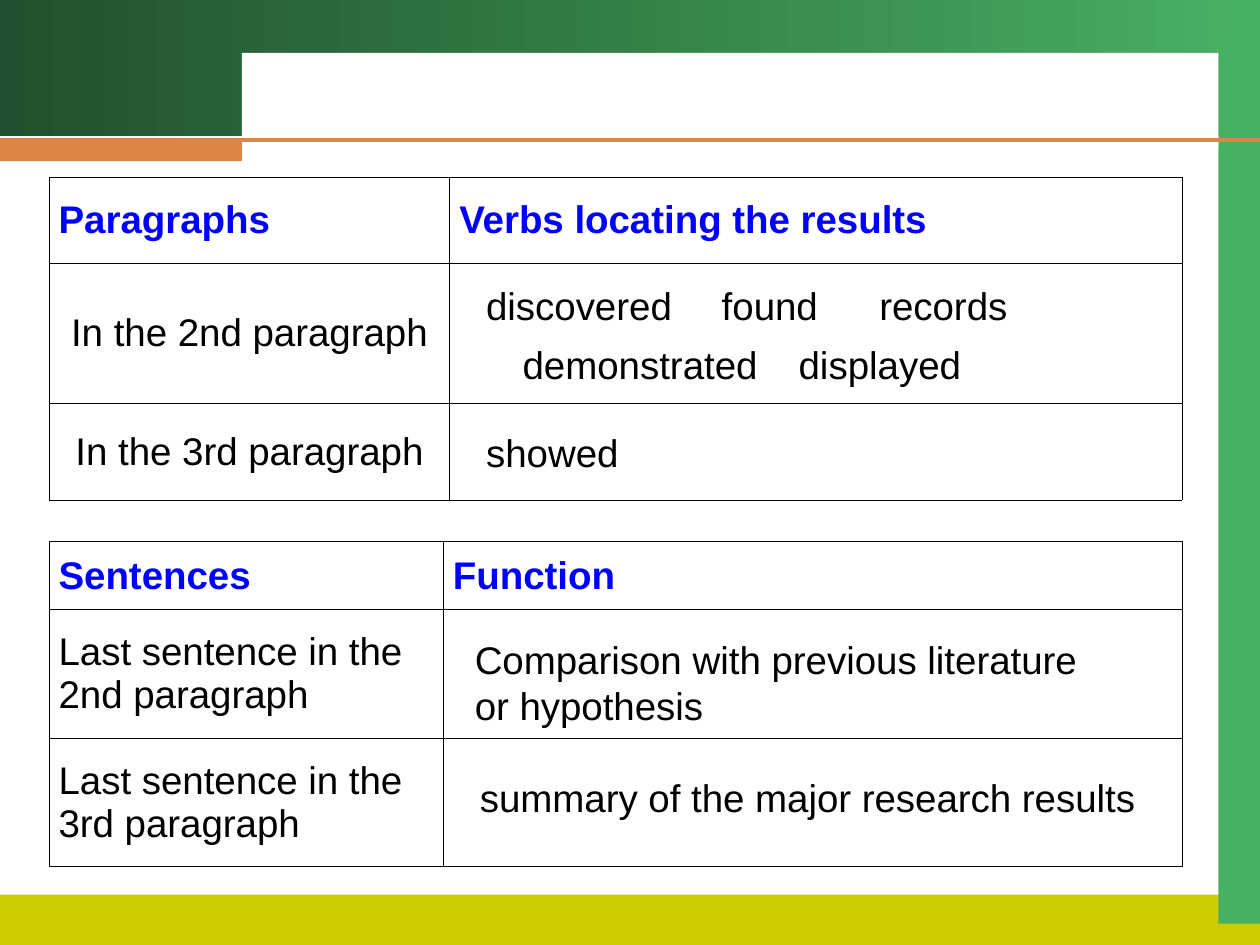
from dataclasses import dataclass

from lxml import etree
from pptx import Presentation
from pptx.dml.color import RGBColor
from pptx.enum.shapes import MSO_CONNECTOR, MSO_SHAPE
from pptx.enum.text import MSO_ANCHOR, MSO_AUTO_SIZE, PP_ALIGN
from pptx.oxml.ns import qn
from pptx.util import Inches, Pt

RECT = MSO_SHAPE.RECTANGLE
LINE = MSO_CONNECTOR.STRAIGHT
MIDDLE = MSO_ANCHOR.MIDDLE
FIT = MSO_AUTO_SIZE.SHAPE_TO_FIT_TEXT
LEFT, CENTER, JUSTIFY = PP_ALIGN.LEFT, PP_ALIGN.CENTER, PP_ALIGN.JUSTIFY
COLS, ROWS = 100, 75


@dataclass(frozen=True)
class Theme:
    font: str = "Arial"
    size: float = 22
    rule: float = 2.25
    edge: float = 0.45
    ink: str = "000000"
    head: str = "0000FF"
    paper: str = "FFFFFF"
    dark: str = "21512E"
    green: str = "48B063"
    lime: str = "CCCC00"
    orange: str = "DB8647"


class Deck:
    """Draws on a grid of COLS by ROWS cells."""

    def __init__(self, theme):
        self.theme = theme
        self.prs = Presentation()
        self.prs.slide_width, self.prs.slide_height = Inches(10), Inches(7.5)
        self.slide = self.prs.slides.add_slide(self.prs.slide_layouts[6])
        self.shapes = self.slide.shapes

    def x(self, cols):
        return round(self.prs.slide_width * cols / COLS)

    def y(self, rows):
        return round(self.prs.slide_height * rows / ROWS)

    def area(self, left, top, width, height):
        return self.x(left), self.y(top), self.x(width), self.y(height)

    def style(self, para, color, bold=False):
        for run in para.runs:
            font = run.font
            font.name, font.size, font.bold = self.theme.font, Pt(self.theme.size), bold
            font.color.rgb = RGBColor.from_string(color)

    def rect(self, area, color, end=None):
        """Plain block, or a left to right blend when end is given."""
        box = self.shapes.add_shape(RECT, *self.area(*area))
        box.shadow.inherit = False
        box.line.fill.background()
        if end is None:
            box.fill.solid()
            box.fill.fore_color.rgb = RGBColor.from_string(color)
            return
        box.fill.gradient()
        box.fill.gradient_angle = 0
        for stop, tone in zip(box.fill.gradient_stops, (color, end)):
            stop.color.rgb = RGBColor.from_string(tone)

    def rule(self, top, color):
        line = self.shapes.add_connector(
            LINE, 0, self.y(top), self.x(COLS), self.y(top))
        line.line.color.rgb = RGBColor.from_string(color)
        line.line.width = Pt(self.theme.rule)
        etree.SubElement(line._element.spPr, qn("a:effectLst"))

    def text(self, area, words):
        box = self.shapes.add_textbox(*self.area(*area))
        frame = box.text_frame
        frame.word_wrap = True
        frame.auto_size = FIT
        frame.text = words
        self.style(frame.paragraphs[0], self.theme.ink)

    def frame(self, cell):
        props = cell._tc.get_or_add_tcPr()
        for spot, side in enumerate(("lnL", "lnR", "lnT", "lnB")):
            line = etree.Element(qn(f"a:{side}"), w=str(Pt(self.theme.edge)))
            fill = etree.SubElement(line, qn("a:solidFill"))
            etree.SubElement(fill, qn("a:srgbClr"), val=self.theme.ink)
            props.insert(spot, line)

    def table(self, left, top, widths, heights, heads, labels, pad, aligns):
        """Heads fill the first row, labels the first column below it."""
        area = self.area(left, top, sum(widths), sum(heights))
        table = self.shapes.add_table(len(heights), len(widths), *area).table
        table.first_row = table.horz_banding = False
        for col, width in zip(table.columns, widths):
            col.width = self.x(width)
        for row, height in zip(table.rows, heights):
            row.height = self.y(height)
        for cell in table.iter_cells():
            cell.fill.background()
            cell.vertical_anchor = MIDDLE
            cell.margin_left = cell.margin_right = self.x(pad)
            self.frame(cell)
        spots = [(0, col, words) for col, words in enumerate(heads)]
        spots += [(row, 0, words) for row, words in enumerate(labels, 1)]
        for row, col, words in spots:
            cell = table.cell(row, col)
            cell.text = words
            para = cell.text_frame.paragraphs[0]
            para.alignment = aligns[row > 0]
            color = self.theme.ink if row else self.theme.head
            self.style(para, color, bold=row == 0)


def main():
    theme = Theme()
    deck = Deck(theme)
    deck.rect((0, 0, COLS, 10.8), theme.dark, theme.green)
    deck.rect((0, 71, COLS, 4), theme.lime)
    deck.rect((96.7, 2.5, 3.3, 70.8), theme.green)
    deck.rect((19.2, 4.2, 77.5, 7.5), theme.paper)
    deck.rule(11.1, theme.orange)
    deck.rect((0, 11.1, 19.2, 1.7), theme.orange)

    deck.table(3.9, 14.1, (31.8, 58.1), (6.8, 11.1, 7.7),
               ("Paragraphs", "Verbs locating the results"),
               ("In the 2nd paragraph", "In the 3rd paragraph"),
               0.75, (JUSTIFY, CENTER))
    deck.table(3.9, 43, (31.3, 58.6), (5.4, 10.2, 10.2),
               ("Sentences", "Function"),
               ("Last sentence in the 2nd paragraph",
                "Last sentence in the 3rd paragraph"),
               0.75, (LEFT, LEFT))

    notes = (
        (36.7, 50, 50, 8.4, "Comparison with previous literature or hypothesis"),
        (37.1, 60.9, 54.5, 4.7, "summary of the major research results"),
        (37.6, 21.9, 17, 4.7, "discovered"),
        (56.3, 21.9, 10, 4.7, "found"),
        (68.8, 21.9, 12.5, 4.7, "records"),
        (40.5, 26.6, 21, 4.7, "demonstrated"),
        (62.4, 26.6, 15.2, 4.7, "displayed"),
        (37.6, 33.6, 12.8, 4.7, "showed"),
    )
    for *area, words in notes:
        deck.text(area, words)
    deck.prs.save("out.pptx")


if __name__ == "__main__":
    main()
